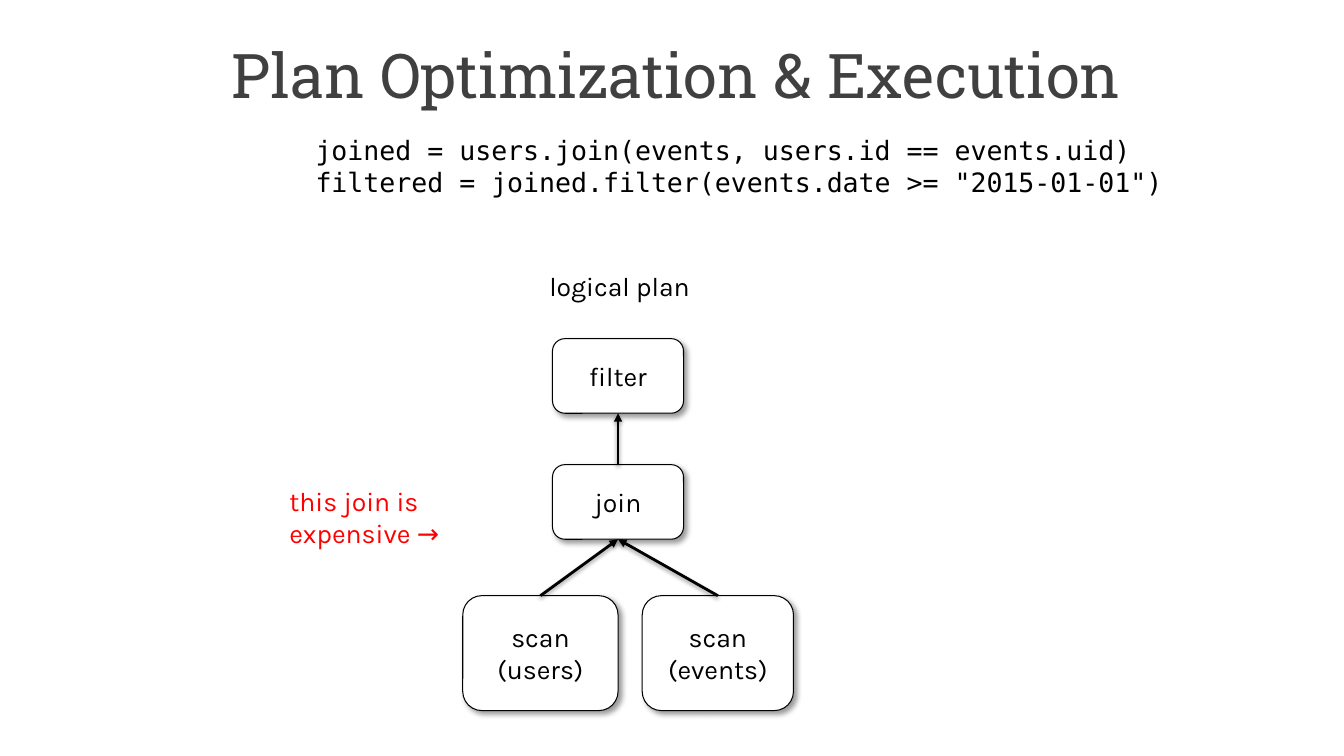
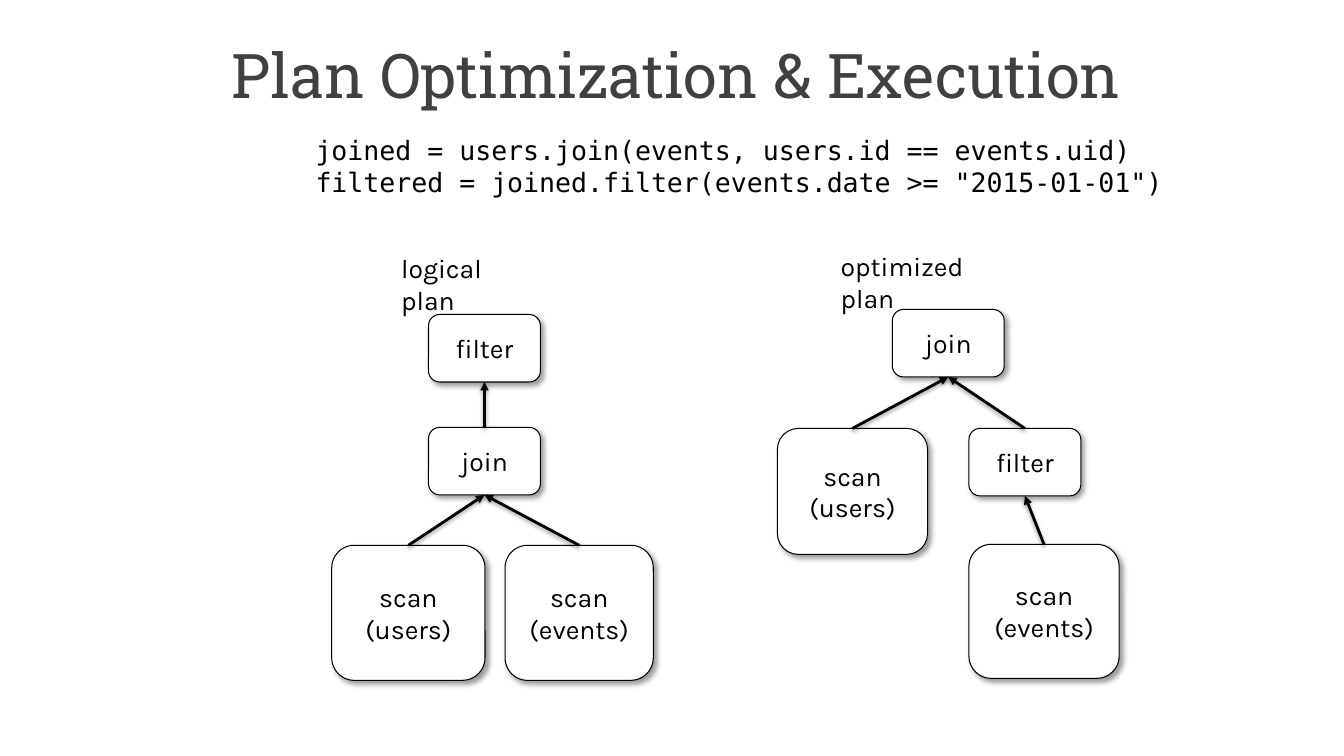
from dataclasses import dataclass

from lxml.etree import SubElement
from pptx import Presentation
from pptx.dml.color import RGBColor
from pptx.enum.shapes import MSO_CONNECTOR, MSO_SHAPE
from pptx.enum.text import MSO_ANCHOR, PP_ALIGN
from pptx.oxml.ns import qn
from pptx.util import Inches, Pt


@dataclass(frozen=True)
class Theme:
    ink: str = "000000"
    paper: str = "FFFFFF"
    title: str = "404040"
    alert: str = "FF0000"
    sans: str = "Karla"
    slab: str = "Roboto Slab"
    mono: str = "DejaVu Sans Mono"
    body: int = 19
    head: int = 44
    edge: float = 0.75
    arrow: float = 2
    # Shadows: opacity %, blur pt, distance pt, angle
    drop: tuple = (40, 4, 3, 45)
    under: tuple = (38, 3.1, 1.6, 90)


THEME = Theme()
WIDE = (0.13, 0.07)
TITLE = "Plan Optimization & Execution"
CODE = ('joined = users.join(events, users.id == events.uid)\n'
        'filtered = joined.filter(events.date >= "2015-01-01")')
USERS, EVENTS = "scan\n(users)", "scan\n(events)"

# Links run from the lower node to the upper one
LOGICAL = [("join", "filter"), (USERS, "join"), (EVENTS, "join")]
BETTER = [(USERS, "join"), ("filter", "join"), (EVENTS, "filter")]

# Nodes: left, top, width, height within the plan's box
LARGE = {
    "filter": (0.89, 0.73, 1.3, 0.74),
    "join": (0.89, 1.98, 1.3, 0.74),
    USERS: (0, 3.28, 1.54, 1.14),
    EVENTS: (1.78, 3.28, 1.5, 1.14),
}
SMALL = {
    "filter": (0.96, 0.67, 1.11, 0.67),
    "join": (0.96, 1.79, 1.11, 0.67),
    USERS: (0, 2.96, 1.52, 1.34),
    EVENTS: (1.72, 2.96, 1.47, 1.34),
}
PUSHED = {
    "join": (1.14, 0.64, 1.11, 0.67),
    USERS: (0, 1.82, 1.49, 1.25),
    "filter": (1.9, 1.82, 1.11, 0.67),
    EVENTS: (1.9, 2.97, 1.49, 1.33),
}


def write(frame, text, font=THEME.sans, size=THEME.body, color=THEME.ink,
          align=PP_ALIGN.LEFT, inset=(0.1, 0.05)):
    frame.word_wrap = True
    frame.margin_left = frame.margin_right = Inches(inset[0])
    frame.margin_top = frame.margin_bottom = Inches(inset[1])
    frame.text = text
    for para in frame.paragraphs:
        para.alignment = align
        para.font.name = font
        para.font.size = Pt(size)
        para.font.color.rgb = RGBColor.from_string(color)


def label(shapes, box, text, **style):
    area = shapes.add_textbox(*map(Inches, box))
    write(area.text_frame, text, **style)


def shade(effects, look):
    alpha, blur, dist, angle = look
    cast = SubElement(effects, qn("a:outerShdw"), blurRad=str(Pt(blur)),
                      dist=str(Pt(dist)), dir=str(angle * 60000),
                      algn="tl", rotWithShape="0")
    color = SubElement(cast, qn("a:srgbClr"), val=THEME.ink)
    SubElement(color, qn("a:alpha"), val=str(alpha * 1000))


def stroke(line, width):
    line.color.rgb = RGBColor.from_string(THEME.ink)
    line.width = Pt(width)


def node(shapes, box, text):
    shape = shapes.add_shape(MSO_SHAPE.ROUNDED_RECTANGLE, *map(Inches, box))
    shape.fill.solid()
    shape.fill.fore_color.rgb = RGBColor.from_string(THEME.paper)
    stroke(shape.line, THEME.edge)
    shape.shadow.inherit = False
    shade(shape._element.spPr.find(qn("a:effectLst")), THEME.drop)
    shape.text_frame.vertical_anchor = MSO_ANCHOR.MIDDLE
    write(shape.text_frame, text, align=PP_ALIGN.CENTER, inset=(0, 0))
    return shape


def link(shapes, low, high):
    line = shapes.add_connector(MSO_CONNECTOR.STRAIGHT, 0, 0, 0, 0)
    line.begin_connect(low, 0)
    line.end_connect(high, 2)
    stroke(line.line, THEME.arrow)
    SubElement(line.line._get_or_add_ln(), qn("a:tailEnd"), type="triangle")
    shade(SubElement(line._element.spPr, qn("a:effectLst")), THEME.under)


def plan(slide, left, top, name, shift, width, nodes, links,
         align=PP_ALIGN.LEFT):
    shapes = slide.shapes.add_group_shape().shapes
    label(shapes, (left + shift, top, width, 0.42), name, align=align)
    made = {text: node(shapes, (left + x, top + y, w, h), text)
            for text, (x, y, w, h) in nodes.items()}
    for low, high in links:
        link(shapes, made[low], made[high])


def base(deck):
    slide = deck.slides.add_slide(deck.slide_layouts[6])
    # Title and code
    label(slide.shapes, (2.17, 0.3, 9.13, 1.25), TITLE, font=THEME.slab,
          size=THEME.head, color=THEME.title, inset=WIDE)
    label(slide.shapes, (3, 1.26, 10.33, 0.77), CODE, font=THEME.mono,
          inset=WIDE)
    return slide


def main():
    deck = Presentation()
    deck.slide_width, deck.slide_height = Inches(13.33), Inches(7.5)

    # Logical plan with its costly join
    first = base(deck)
    plan(first, 4.59, 2.63, "logical plan", 0.59, 1.93, LARGE, LOGICAL,
         PP_ALIGN.CENTER)
    label(first.shapes, (2.74, 4.74, 2.78, 0.77), "this join is expensive →",
          color=THEME.alert, inset=WIDE)

    # Logical and optimized plans side by side
    second = base(deck)
    plan(second, 3.29, 2.45, "logical plan", 0.59, 1.45, SMALL, LOGICAL)
    plan(second, 7.71, 2.43, "optimized plan", 0.53, 1.83, PUSHED, BETTER)

    deck.save("out.pptx")


if __name__ == "__main__":
    main()
